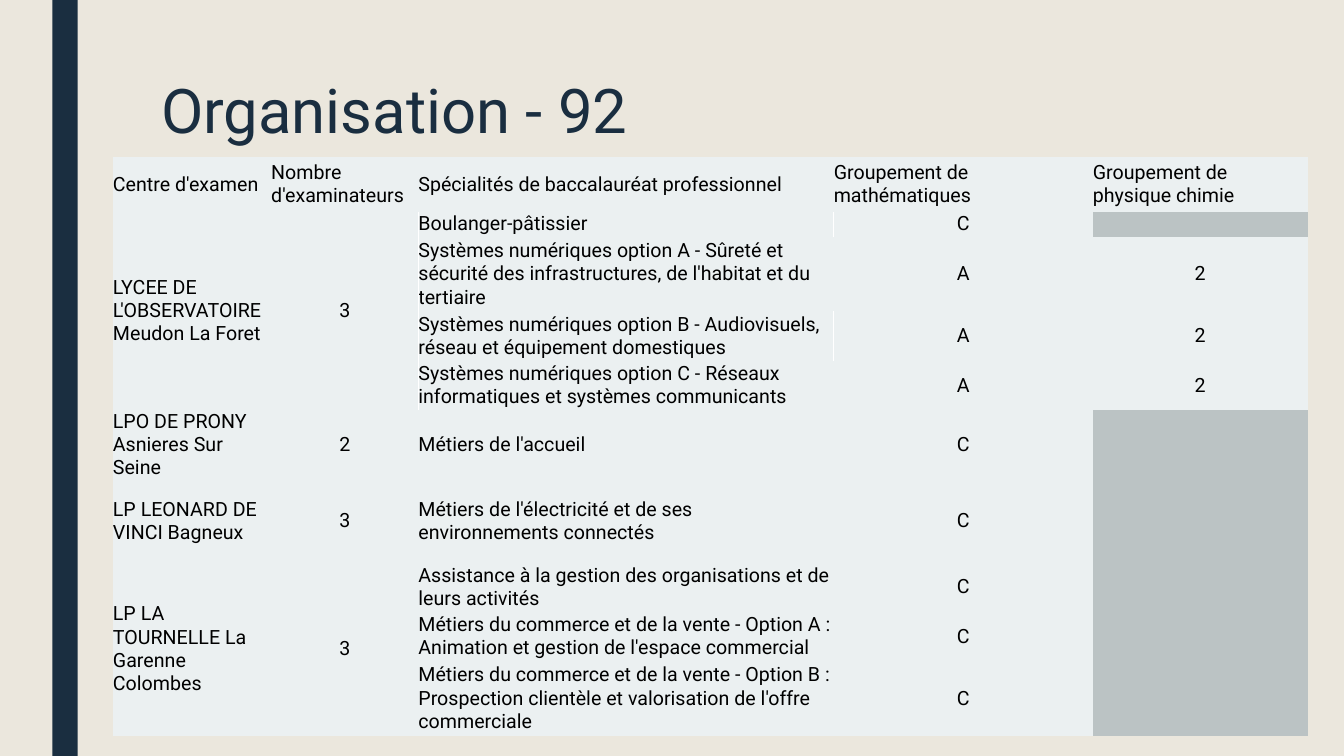
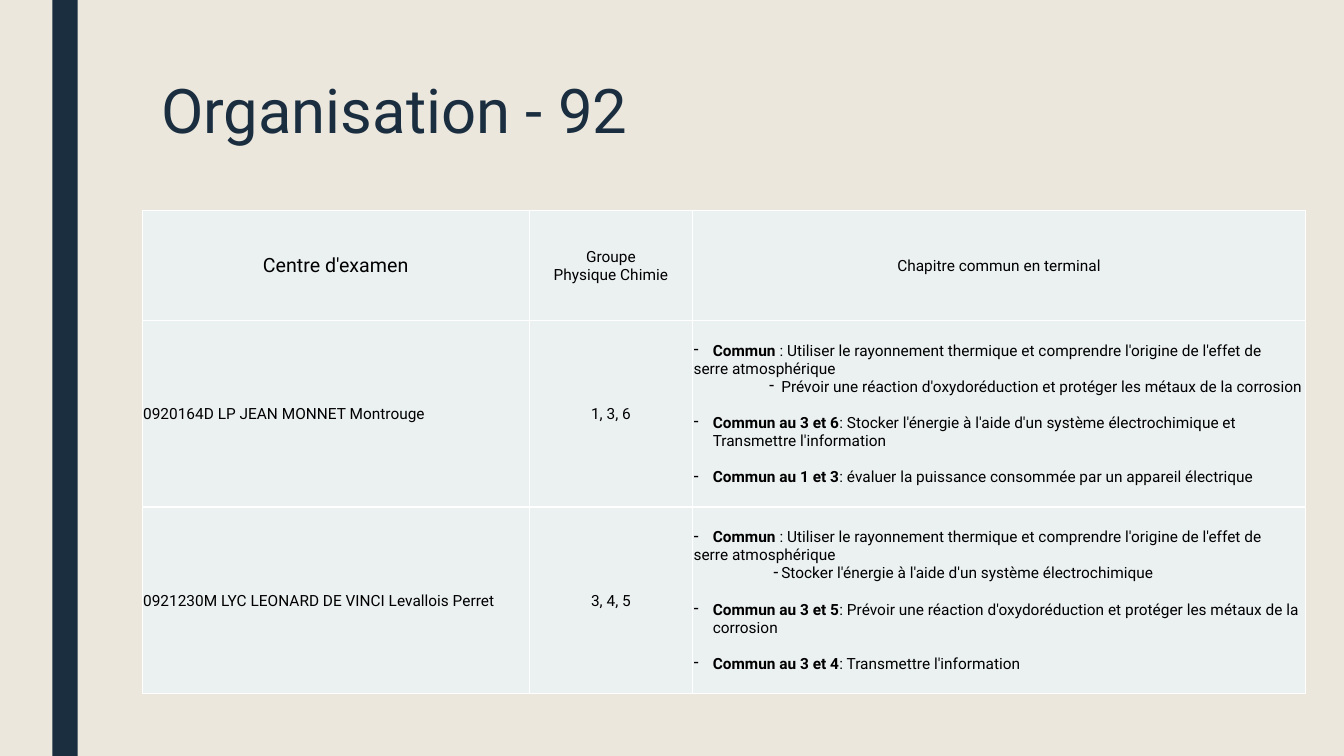
from lxml import etree
from pptx import Presentation
from pptx.dml.color import RGBColor
from pptx.enum.shapes import MSO_SHAPE
from pptx.enum.text import MSO_ANCHOR, PP_ALIGN
from pptx.oxml.ns import qn
from pptx.util import Inches, Pt

RECT = MSO_SHAPE.RECTANGLE
TOP, MIDDLE = MSO_ANCHOR.TOP, MSO_ANCHOR.MIDDLE
LEFT, CENTER = PP_ALIGN.LEFT, PP_ALIGN.CENTER

INK = {"sand": "EBE7DD", "navy": "1A2E40", "pale": "EBF0F1",
       "grey": "BBC3C4", "black": "000000", "white": "FFFFFF"}
RGB = {name: RGBColor.from_string(code) for name, code in INK.items()}
FONT = "Roboto"
PLAIN = "{2D5ABB26-0587-4C30-8999-92F81FD0307C}"  # table style without grid

prs = Presentation()
prs.slide_width, prs.slide_height = Inches(13.33), Inches(7.5)
back = prs.slide_master.background.fill
back.solid()
back.fore_color.rgb = RGB["sand"]


def page(left, top, cols, rows, texts, size, pad, head, mids):
    """Add a slide with band, title and table; return the table.

    head aligns the first row; the columns in mids are centred below it.
    """
    slide = prs.slides.add_slide(prs.slide_layouts[5])
    band = slide.shapes.add_shape(RECT, Inches(0.52), 0, Inches(0.25), prs.slide_height)
    band.shadow.inherit = False
    band.fill.solid()
    band.fill.fore_color.rgb = RGB["navy"]
    band.line.fill.background()

    title = slide.shapes.title
    title.left, title.top = Inches(1.5), Inches(0.75)
    title.width, title.height = Inches(10.5), Inches(1.62)
    title.text_frame.text = "Organisation - 92"
    title.text_frame.vertical_anchor = TOP
    para = title.text_frame.paragraphs[0]
    para.alignment, para.line_spacing = LEFT, 0.89
    para.font.name, para.font.size = FONT, Pt(44)
    para.font.color.rgb = RGB["navy"]

    table = slide.shapes.add_table(
        len(rows), len(cols), Inches(left), Inches(top),
        Inches(sum(cols)), Inches(sum(rows))).table
    table._tbl.tblPr.find(qn("a:tableStyleId")).text = PLAIN
    for col, width in zip(table.columns, cols):
        col.width = Inches(width)
    for r, height in enumerate(rows):
        table.rows[r].height = Inches(height)
        for c, text in enumerate(texts[r]):
            cell = table.cell(r, c)
            cell.text = text
            cell.vertical_anchor = MIDDLE
            cell.margin_left = cell.margin_right = cell.margin_top = Inches(pad)
            cell.margin_bottom = 0
            cell.fill.solid()
            cell.fill.fore_color.rgb = RGB["pale"]
            para = cell.text_frame.paragraphs[0]
            para.alignment = head if r == 0 else CENTER if c in mids else LEFT
            para.font.name, para.font.size = FONT, Pt(size)
            para.font.color.rgb = RGB["black"]
            if not text:
                etree.SubElement(para._p, qn("a:endParaRPr"), sz=str(size * 100))
    return table


def edge(cell, sides):
    """Draw white 1 pt borders on sides, given in the order L, R, T, B."""
    props = cell._tc.get_or_add_tcPr()
    for i, side in enumerate(sides):
        line = etree.Element(qn("a:ln" + side), w=str(Pt(1)))
        fill = etree.SubElement(line, qn("a:solidFill"))
        etree.SubElement(fill, qn("a:srgbClr"), val=INK["white"])
        props.insert(i, line)


# Slide 1: exam centres
texts = [
    ["Centre d'examen", "Nombre d'examinateurs", "Spécialités de baccalauréat professionnel",
     "Groupement de mathématiques", "Groupement de physique chimie"],
    ["LYCEE DE L'OBSERVATOIRE Meudon La Foret", "3", "Boulanger-pâtissier", "C", ""],
    ["", "", "Systèmes numériques option A - Sûreté et sécurité des infrastructures, "
     "de l'habitat et du tertiaire", "A", "2"],
    ["", "", "Systèmes numériques option B - Audiovisuels, réseau et équipement "
     "domestiques", "A", "2"],
    ["", "", "Systèmes numériques option C - Réseaux informatiques et systèmes "
     "communicants", "A", "2"],
    ["LPO DE PRONY Asnieres Sur Seine", "2", "Métiers de l'accueil", "C", ""],
    ["LP LEONARD DE VINCI Bagneux", "3",
     "Métiers de l'électricité et de ses environnements connectés", "C", ""],
    ["LP LA TOURNELLE La Garenne Colombes", "3",
     "Assistance à la gestion des organisations et de leurs activités", "C", ""],
    ["", "", "Métiers du commerce et de la vente - Option A : Animation et gestion de "
     "l'espace commercial", "C", ""],
    ["", "", "Métiers du commerce et de la vente - Option B : Prospection clientèle et "
     "valorisation de l'offre commerciale", "C", ""],
]
table = page(1.12, 1.56, [1.57, 1.46, 4.12, 2.57, 2.13],
             [0.54, 0.25, 0.74, 0.49, 0.49, 0.67, 0.82, 0.49, 0.49, 0.74],
             texts, 14, 0, LEFT, {1, 3, 4})
for r, row in enumerate(texts):
    if not row[4]:
        table.cell(r, 4).fill.fore_color.rgb = RGB["grey"]
for first, last in [(1, 4), (7, 9)]:
    for c in (0, 1):
        table.cell(first, c).merge(table.cell(last, c))
for r, c, side in [(1, 1, "R"), (1, 2, "L"), (3, 2, "L")]:
    edge(table.cell(r, c), side)

# Slide 2: shared chapters
texts = [
    ["Centre d'examen", "Groupe\vPhysique Chimie", "Chapitre commun en terminal"],
    ["0920164D LP JEAN MONNET Montrouge", "1, 3, 6", ""],
    ["0921230M LYC LEONARD DE VINCI Levallois Perret", "3, 4, 5", ""],
]
table = page(1.41, 2.09, [3.84, 1.62, 6.08], [1.09, 1.85, 1.85],
             texts, 11, 0.01, CENTER, {1})
table.cell(0, 0).text_frame.paragraphs[0].font.size = Pt(14)
for cell in table.iter_cells():
    edge(cell, "LRTB")

# Each point: bold lead, text, left margin, hanging dash, space before
start = [("Commun", " : Utiliser le rayonnement thermique et comprendre l'origine de "
          "l'effet de", 0.19, 0.19, 0),
         ("", "serre atmosphérique", 0, 0, 0)]
points = [
    start + [
        ("", "Prévoir une réaction d'oxydoréduction et protéger les métaux de la "
         "corrosion", 0.87, 0.12, 0),
        ("Commun au 3 et 6", ": Stocker l'énergie à l'aide d'un système électrochimique "
         "et Transmettre l'information", 0.19, 0.19, 13),
        ("Commun au 1 et 3", ": évaluer la puissance consommée par un appareil "
         "électrique", 0.19, 0.19, 13)],
    start + [
        ("", "Stocker l'énergie à l'aide d'un système électrochimique", 0.87, 0.08, 0),
        ("Commun au 3 et 5", ": Prévoir une réaction d'oxydoréduction et protéger les "
         "métaux de la corrosion", 0.19, 0.19, 13),
        ("Commun au 3 et 4", ": Transmettre l'information", 0.19, 0.19, 13)],
]
for r, group in enumerate(points, 1):
    frame = table.cell(r, 2).text_frame
    for i, (lead, text, margin, hang, gap) in enumerate(group):
        para = frame.add_paragraph() if i else frame.paragraphs[0]
        if hang:
            props = para._p.get_or_add_pPr()
            props.set("marL", str(Inches(margin)))
            props.set("indent", str(-Inches(hang)))
            dash = etree.Element(qn("a:buChar"), char="-")
            props.insert(0, dash)
        para.space_before = Pt(gap)
        para.font.name, para.font.size = FONT, Pt(11)
        para.font.color.rgb = RGB["black"]
        if lead:
            run = para.add_run()
            run.text, run.font.bold = lead, True
        para.add_run().text = text

prs.save("out.pptx")
